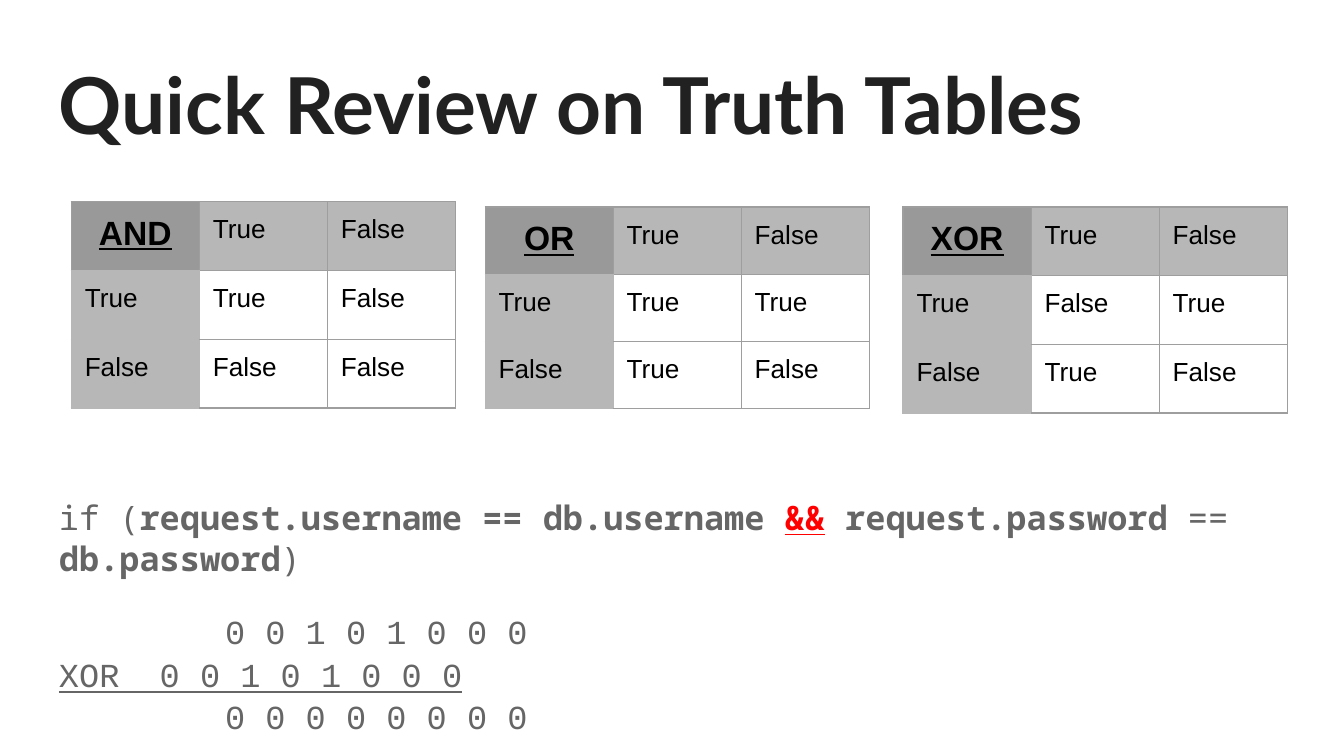
from lxml import etree
from pptx import Presentation, util as u
from pptx.dml.color import RGBColor
from pptx.enum import text
from pptx.oxml import ns

Pt = u.Pt
INK = RGBColor(0x21, 0x21, 0x21)
CODE = RGBColor(0x66, 0x66, 0x66)
RED = RGBColor(0xFF, 0x00, 0x00)
BLACK = RGBColor(0x00, 0x00, 0x00)
CORNER = RGBColor(0x99, 0x99, 0x99)
HEADER = RGBColor(0xB7, 0xB7, 0xB7)
GRID = RGBColor(0x9E, 0x9E, 0x9E)

MONO, COURIER = "Noto Sans Mono", "Courier New"
INSET = Pt(7.2)
COLUMN = 68.6
LABELS = ("True", "False")


class SlideBuilder:
    """Holds the slide style and draws each kind of element on the page."""

    def __init__(self, page):
        self.page = page

    def span(self, para, words, font, size, color, bold=False, underline=False):
        span = para.add_run()
        span.text = words
        span.font.name, span.font.size = font, Pt(size)
        span.font.bold, span.font.underline = bold, underline
        span.font.color.rgb = color

    def box(self, left, top, width, height, top_inset=INSET):
        box = self.page.shapes.add_textbox(Pt(left), Pt(top), Pt(width), Pt(height))
        frame = box.text_frame
        frame.word_wrap = True
        frame.auto_size = text.MSO_AUTO_SIZE.NONE
        frame.vertical_anchor = text.MSO_ANCHOR.TOP
        frame.margin_left = frame.margin_right = frame.margin_bottom = INSET
        frame.margin_top = top_inset
        return frame

    def border(self, cell, side, color):
        line = etree.SubElement(cell._tc.get_or_add_tcPr(), ns.qn(f"a:ln{side}"), w=str(Pt(0.75)))
        fill = etree.SubElement(line, ns.qn("a:solidFill"))
        etree.SubElement(fill, ns.qn("a:srgbClr"), val=str(color))

    def cell(self, cell, words, row, column):
        corner = row == column == 0
        row_label = row > 0 and column == 0
        cell.margin_left = cell.margin_right = INSET
        cell.margin_top = cell.margin_bottom = INSET
        # Edges around the row labels blend into their fill
        for side in "LRTB":
            blends = (row_label or (corner and side == "B")
                      or (row > 0 and column == 1 and side == "L"))
            self.border(cell, side, HEADER if blends else GRID)
        if row and column:
            cell.fill.background()
        else:
            cell.fill.solid()
            cell.fill.fore_color.rgb = CORNER if corner else HEADER
        para = cell.text_frame.paragraphs[0]
        if corner:
            para.alignment = text.PP_ALIGN.CENTER
        self.span(para, words, "Arial", 18 if corner else 14, BLACK, corner, corner)

    def truth_table(self, name, operation, left, top, row_height):
        table = self.page.shapes.add_table(
            3, 3, Pt(left), Pt(top), Pt(3 * COLUMN), Pt(3 * row_height)).table
        table.first_row = table.horz_banding = False
        for column in table.columns:
            column.width = Pt(COLUMN)
        rows = [(name, *LABELS)]
        for first in LABELS:
            results = [str(operation(first == "True", second == "True")) for second in LABELS]
            rows.append((first, *results))
        for r, values in enumerate(rows):
            table.rows[r].height = Pt(row_height)
            for c, words in enumerate(values):
                self.cell(table.cell(r, c), words, r, c)


def main():
    deck = Presentation()
    deck.slide_width, deck.slide_height = Pt(720), Pt(405)
    builder = SlideBuilder(deck.slides.add_slide(deck.slide_layouts[6]))

    # Title
    title = builder.box(24.5, 23, 671, 63.4)
    builder.span(title.paragraphs[0], "Quick Review on Truth Tables", "Lato", 42, INK, bold=True)

    # Condition, set below the tables by the top inset
    body = builder.box(24.5, 96.5, 671, 263, top_inset=Pt(169))
    condition = body.paragraphs[0]
    condition.line_spacing, condition.space_after = 1.03, Pt(16)
    for words, bold in (
        ("if (", False),
        ("request.username == db.username ", True),
        ("&&", True),
        (" ", False),
        ("request.password", True),
        (" == ", False),
        ("db.password", True),
        (")", False),
    ):
        marked = words == "&&"
        builder.span(condition, words, MONO, 18, RED if marked else CODE, bold, marked)

    # Bitwise sum: operands and result
    for words, indent, underline in (
        ("0 0 1 0 1 0 0 0", 89, False),
        ("XOR  0 0 1 0 1 0 0 0", 0, True),
        ("0 0 0 0 0 0 0 0", 89, False),
    ):
        para = body.add_paragraph()
        para.line_spacing = 1.06
        para._p.get_or_add_pPr().set("marL", str(Pt(indent)))
        builder.span(para, words, COURIER, 18, CODE, underline=underline)

    # Truth tables
    builder.truth_table("AND", lambda a, b: a and b, 38.2, 108, 36.9)
    builder.truth_table("OR", lambda a, b: a or b, 259.9, 110.9, 36)
    builder.truth_table("XOR", lambda a, b: a != b, 483.8, 110.9, 36.8)

    deck.save("out.pptx")


if __name__ == "__main__":
    main()
